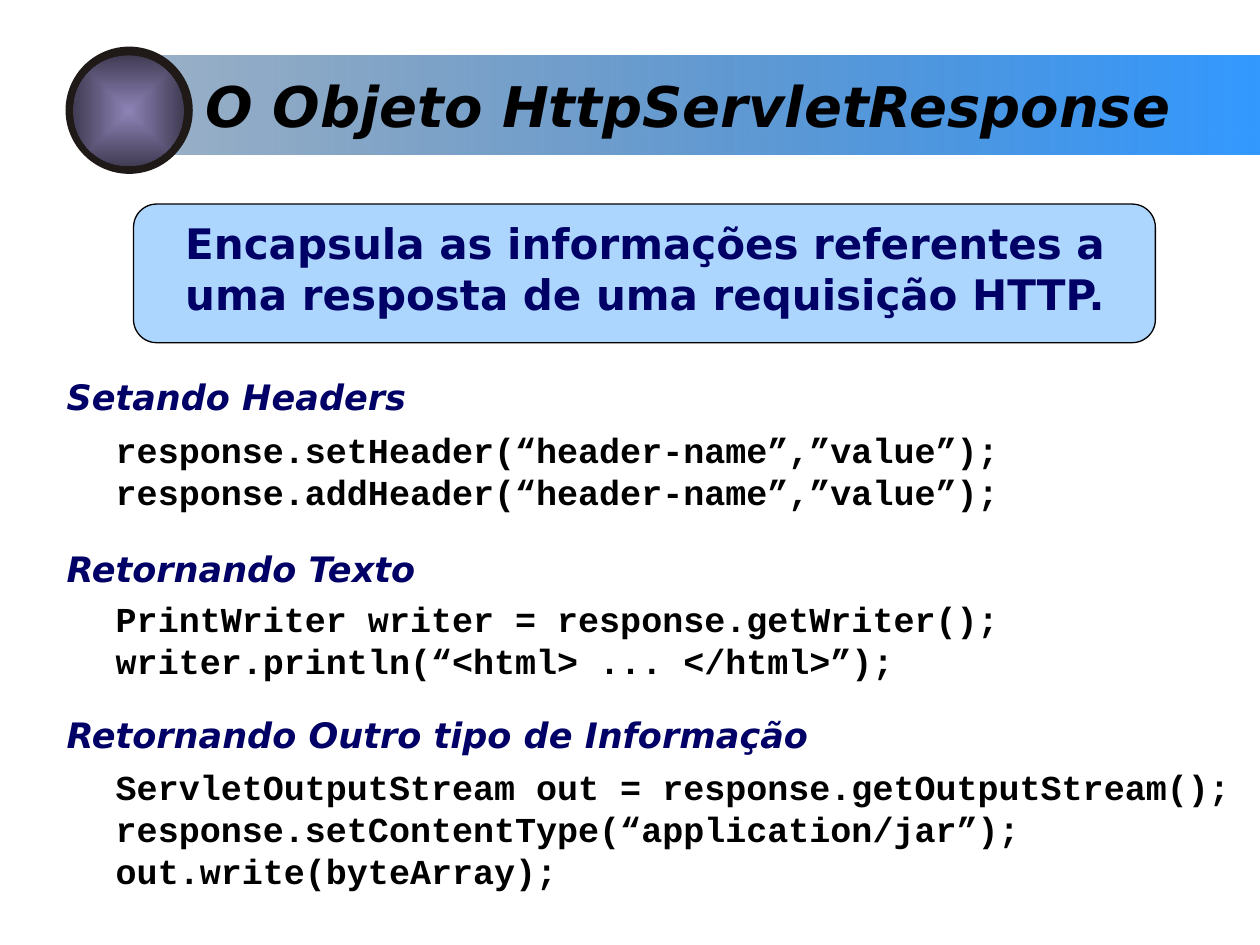
import dataclasses
import typing

import lxml.etree
import pptx
import pptx.dml.color
import pptx.enum.shapes
import pptx.enum.text
import pptx.oxml
import pptx.oxml.ns
import pptx.util

Inches = pptx.util.Inches
Kind = pptx.enum.shapes.MSO_SHAPE
Align = pptx.enum.text.PP_ALIGN
Fit = pptx.enum.text.MSO_AUTO_SIZE
qn = pptx.oxml.ns.qn


@dataclasses.dataclass(frozen=True)
class Theme:
    black: str = "000000"
    navy: str = "000066"
    sky: str = "3399FF"
    steel: str = "194D81"
    ring: str = "1F1A17"
    lilac: str = "8E84B7"
    dusk: str = "413C54"
    sans: str = "DejaVu Sans"
    mono: str = "Courier New"
    head: int = 32
    lead: int = 24
    text: int = 20


THEME = Theme()


class Box(typing.NamedTuple):
    left: float
    top: float
    width: float
    height: float

    def place(self) -> list:
        return [Inches(side) for side in self]


class Part(typing.NamedTuple):
    """A heading with the code lines below it."""
    name: str
    top: float
    code: str
    start: float
    width: float


PARTS = [
    Part("Setando Headers", 2.93,
         "response.setHeader(“header-name”,”value”);\n"
         "response.addHeader(“header-name”,”value”);", 3.35, 7.21),
    Part("Retornando Texto", 4.3,
         "PrintWriter writer = response.getWriter();\n"
         "writer.println(“<html> ... </html>”);", 4.69, 7.21),
    Part("Retornando Outro tipo de Informação", 5.61,
         "ServletOutputStream out = response.getOutputStream();\n"
         "response.setContentType(“application/jar”);\n"
         "out.write(byteArray);", 6.03, 9.05),
]


def write(shape, text: str, *, size: int, color: str = THEME.black,
          font: str = THEME.sans, slant: bool = False,
          align=Align.LEFT, wrap: bool = True) -> None:
    """Fill a text shape with one bold paragraph; newlines break lines."""
    frame = shape.text_frame
    frame.word_wrap = wrap
    frame.auto_size = Fit.NONE
    frame.vertical_anchor = pptx.enum.text.MSO_ANCHOR.TOP
    line = frame.paragraphs[0]
    line.text = text
    line.alignment = align
    for run in line.runs:
        run.font.name = font
        run.font.size = pptx.util.Pt(size)
        run.font.bold = True
        run.font.italic = slant
        run.font.color.rgb = pptx.dml.color.RGBColor.from_string(color)


def draw(slide, kind, box: Box, color: str):
    """Add a plain shape with a solid fill and no line."""
    shape = slide.shapes.add_shape(kind, *box.place())
    shape.shadow.inherit = False
    shape.fill.solid()
    shape.fill.fore_color.rgb = pptx.dml.color.RGBColor.from_string(color)
    shape.line.fill.background()
    return shape


def fade(tint, share: int) -> None:
    """Set the opacity of a colour element in percent."""
    lxml.etree.SubElement(tint, qn("a:alpha")).set("val", str(share * 1000))


def blend(shape, first: str, last: str, course: str, share: int = 100) -> None:
    """Swap the solid fill for a gradient along the given course."""
    space = pptx.oxml.ns.nsdecls("a")
    grad = pptx.oxml.parse_xml(
        f'<a:gradFill {space} rotWithShape="1"><a:gsLst>'
        f'<a:gs pos="0"><a:srgbClr val="{first}"/></a:gs>'
        f'<a:gs pos="100000"><a:srgbClr val="{last}"/></a:gs>'
        f'</a:gsLst>{course}</a:gradFill>')
    if share < 100:
        fade(grad.findall(".//" + qn("a:srgbClr"))[-1], share)
    props = shape._element.spPr
    props.replace(props.find(qn("a:solidFill")), grad)


def label(slide, box: Box, text: str, **style) -> None:
    write(slide.shapes.add_textbox(*box.place()), text, **style)


def add_head(slide) -> None:
    # Bar that fades out to the left
    bar = draw(slide, Kind.RECTANGLE, Box(1.22, 0.44, 8.78, 0.79), THEME.sky)
    blend(bar, THEME.sky, THEME.steel,
          '<a:lin ang="10800000" scaled="0"/>', share=44)

    # Title, lifted above the bar
    title = slide.shapes.title
    title.left, title.top, title.width, title.height = Box(
        1.53, 0.52, 8.47, 0.64).place()
    write(title, "O Objeto HttpServletResponse", size=THEME.head, slant=True)
    bar._element.addnext(title._element)

    # Round badge
    ring = draw(slide, Kind.DONUT, Box(0.52, 0.37, 1.01, 1.01), THEME.ring)
    ring.adjustments[0] = 0.12
    disc = draw(slide, Kind.OVAL, Box(0.58, 0.44, 0.88, 0.88), THEME.lilac)
    blend(disc, THEME.lilac, THEME.dusk,
          '<a:path path="rect"><a:fillToRect l="50000" t="50000" '
          'r="50000" b="50000"/></a:path>')


def add_lead(slide) -> None:
    panel = draw(slide, Kind.ROUNDED_RECTANGLE,
                 Box(1.06, 1.62, 8.11, 1.1), THEME.sky)
    fade(panel._element.spPr.find(qn("a:solidFill"))[0], 40)
    panel.line.color.rgb = pptx.dml.color.RGBColor.from_string(THEME.black)
    panel.line.width = pptx.util.Pt(0.75)
    label(slide, Box(1.15, 1.68, 7.94, 0.9),
          "Encapsula as informações referentes a "
          "uma resposta de uma requisição HTTP.",
          size=THEME.lead, color=THEME.navy, align=Align.CENTER)


def add_part(slide, part: Part) -> None:
    label(slide, Box(0.43, part.top, 8.58, 0.44), part.name,
          size=THEME.text, color=THEME.navy, slant=True)
    rows = part.code.count("\n") + 1
    label(slide, Box(0.82, part.start, part.width, 0.1 + rows / 3), part.code,
          size=THEME.text, font=THEME.mono, wrap=False)


def main() -> None:
    deck = pptx.Presentation()
    deck.slide_width, deck.slide_height = Inches(10), Inches(7.5)
    slide = deck.slides.add_slide(deck.slide_layouts.get_by_name("Title Only"))
    add_head(slide)
    add_lead(slide)
    for part in PARTS:
        add_part(slide, part)
    deck.save("out.pptx")


if __name__ == "__main__":
    main()
